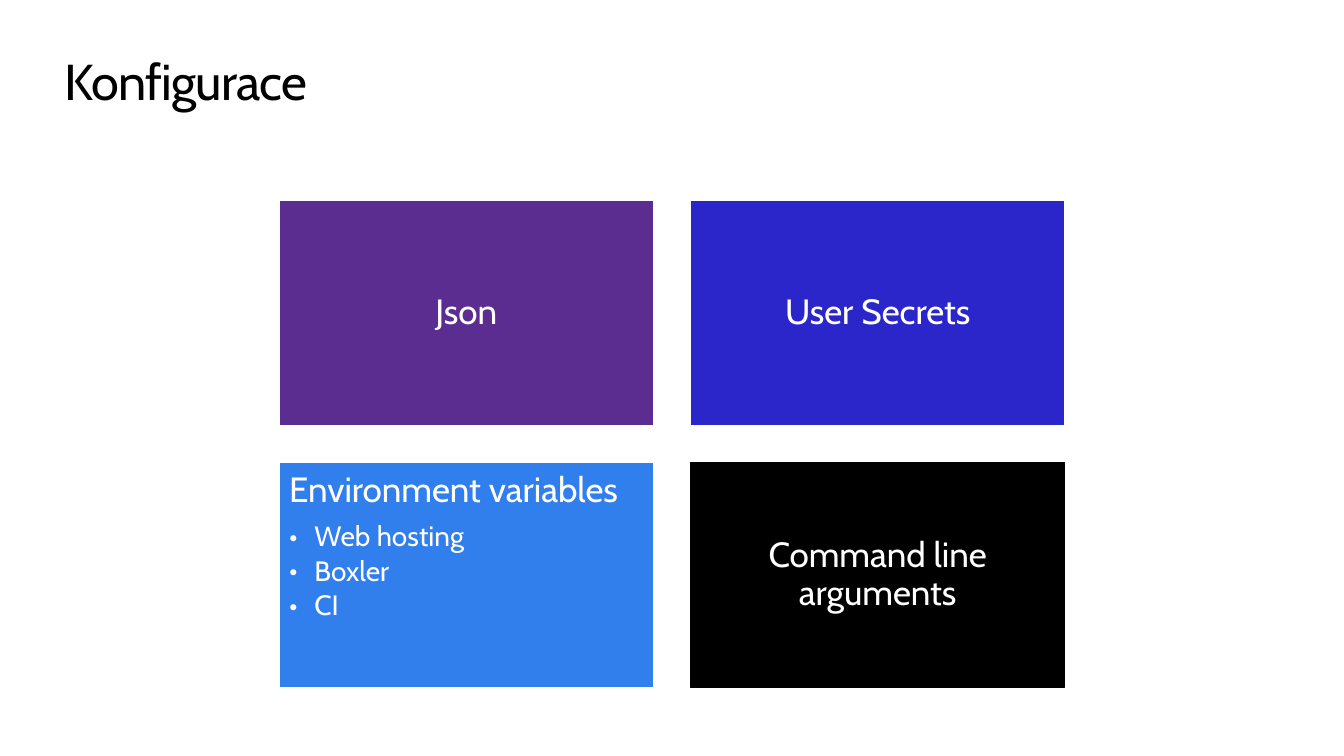
from lxml import etree
from pptx import Presentation
from pptx.dml.color import RGBColor
from pptx.enum.shapes import MSO_SHAPE
from pptx.enum.text import MSO_ANCHOR, MSO_AUTO_SIZE, PP_ALIGN
from pptx.oxml.ns import qn
from pptx.util import Pt

RECTANGLE = MSO_SHAPE.RECTANGLE
TOP, MIDDLE = MSO_ANCHOR.TOP, MSO_ANCHOR.MIDDLE
LEFT, CENTER = PP_ALIGN.LEFT, PP_ALIGN.CENTER
GROW = MSO_AUTO_SIZE.SHAPE_TO_FIT_TEXT

EMU_PER_PX = 9144
PAGE_SIZE = 1333, 750
TITLE_AREA = 64, 50, 1205, 61
GRID_LEFT, GRID_TOP = 277, 199
TILE_WIDTH, TILE_HEIGHT = 371, 223
COLUMN_STEP, ROW_STEP = 408, 260

TILES = [
    ("Json", [], "5C2D91", "FFFFFF"),
    ("User Secrets", [], "2A26C9", "FFFFFF"),
    ("Environment variables", ["Web hosting", "Boxler", "CI"], "317FED", "FFFFFF"),
    ("Command line arguments", [], "000000", "000000"),
]


def px(length):
    return int(length * EMU_PER_PX)


def color(value):
    return RGBColor.from_string(value)


class SlideBuilder:
    """Holds the text style and the current page."""

    def __init__(self, page, font_name):
        self.page = page
        self.font_name = font_name

    def set_insets(self, frame, inset):
        frame.margin_left = frame.margin_right = px(inset)
        frame.margin_top = frame.margin_bottom = px(inset)

    def style_spans(self, para, size, font_color):
        for span in para.runs:
            span.font.name = self.font_name
            span.font.size = Pt(size)
            span.font.color.rgb = color(font_color)

    def add_title(self, text, area):
        title = self.page.shapes.title
        title.left, title.top, title.width, title.height = map(px, area)
        frame = title.text_frame
        frame.text = text
        frame.word_wrap = True
        frame.auto_size = GROW
        frame.vertical_anchor = TOP
        self.set_insets(frame, 0)
        para = frame.paragraphs[0]
        para.alignment = LEFT
        self.style_spans(para, 36, "000000")
        for span in para.runs:
            span.font._element.set("spc", "-50")

    def add_bullet(self, para, indent):
        properties = para._p.get_or_add_pPr()
        properties.set("marL", str(px(indent)))
        properties.set("indent", str(-px(indent)))
        etree.SubElement(properties, qn("a:buFont")).set("typeface", self.font_name)
        etree.SubElement(properties, qn("a:buChar")).set("char", "•")

    def add_tile(self, area, heading, items, fill, line):
        box = self.page.shapes.add_shape(RECTANGLE, *map(px, area))
        box.shadow.inherit = False
        box.fill.solid()
        box.fill.fore_color.rgb = color(fill)
        box.line.color.rgb = color(line)
        box.line.width = Pt(0.85)
        frame = box.text_frame
        frame.text = "\n".join([heading, *items])
        frame.word_wrap = True
        frame.vertical_anchor = TOP if items else MIDDLE
        self.set_insets(frame, 10)
        for index, para in enumerate(frame.paragraphs):
            para.alignment = LEFT if items else CENTER
            para.line_spacing = 0.9
            para.space_after = Pt(3 if index else 8.75)
            self.style_spans(para, 20 if index else 25, "FFFFFF")
            if index:
                para.level = 1
                self.add_bullet(para, 25)


def main():
    deck = Presentation()
    deck.slide_width, deck.slide_height = map(px, PAGE_SIZE)
    page = deck.slides.add_slide(deck.slide_layouts[5])
    builder = SlideBuilder(page, "Cabin")
    builder.add_title("Konfigurace", TITLE_AREA)
    for index, tile in enumerate(TILES):
        row, column = divmod(index, 2)
        left = GRID_LEFT + column * COLUMN_STEP
        top = GRID_TOP + row * ROW_STEP
        builder.add_tile((left, top, TILE_WIDTH, TILE_HEIGHT), *tile)
    deck.save("out.pptx")


if __name__ == "__main__":
    main()
